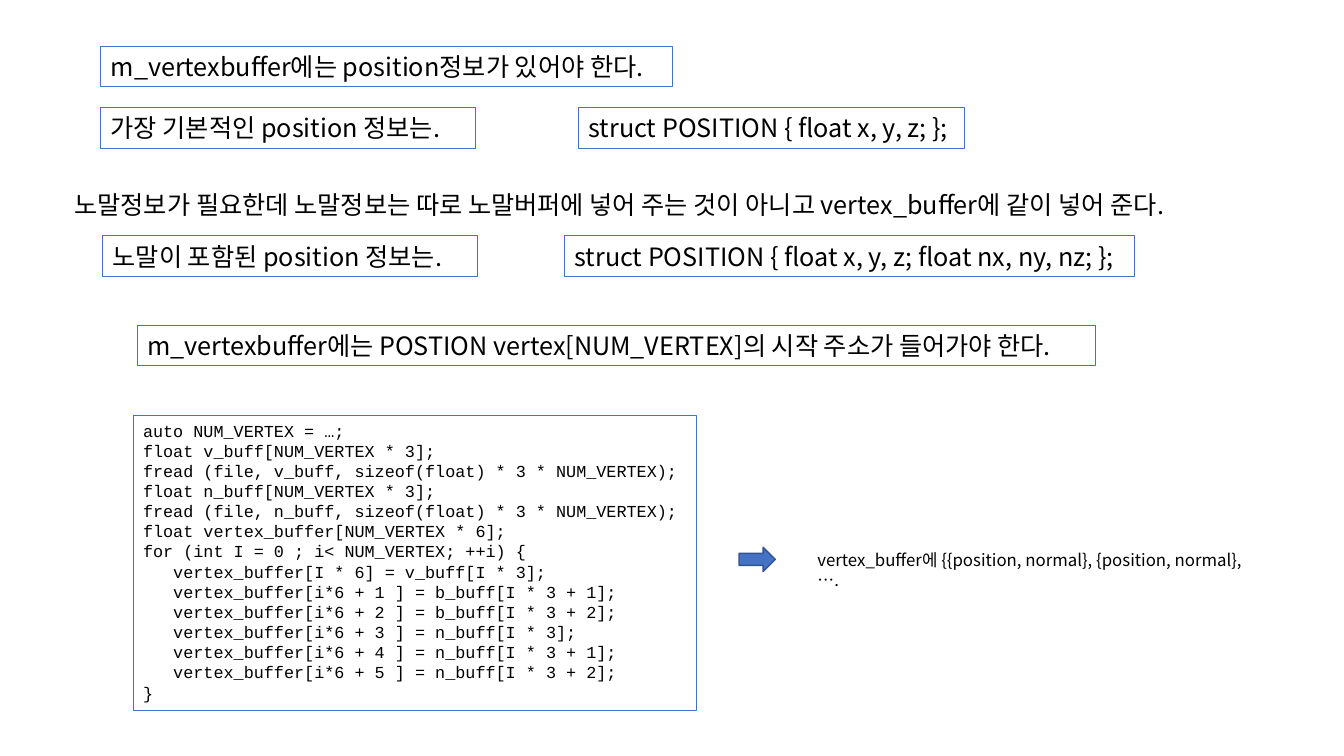
import pptx
import pptx.util
import pptx.dml.color
import pptx.enum.shapes
import pptx.enum.text
import pptx.oxml
import pptx.oxml.ns

COLORS = {"text": "000000", "accent": "4472C4", "arrow_line": "325491"}
BODY, CODE = "Noto Sans CJK KR", "Courier New"
LINE_H = 0.4

# Statements: text, left, top, width, framed
STATEMENTS = [
    ("m_vertexbuffer에는 position정보가 있어야 한다.", 1, 0.46, 5.67, True),
    ("가장 기본적인 position 정보는.", 1, 1.07, 3.72, True),
    ("struct POSITION { float x, y, z; };", 5.74, 1.07, 3.83, True),
    ("노말정보가 필요한데 노말정보는 따로 노말버퍼에 넣어 주는 것이 아니고 "
     "vertex_buffer에 같이 넣어 준다.", 0.64, 1.83, 12.1, False),
    ("노말이 포함된 position 정보는.", 1.02, 2.34, 3.72, True),
    ("struct POSITION { float x, y, z; float nx, ny, nz; };", 5.6, 2.34, 5.65, True),
    ("m_vertexbuffer에는 POSTION vertex[NUM_VERTEX]의 시작 주소가 들어가야 한다.",
     1.36, 3.23, 9.51, True),
]

LISTING = """auto NUM_VERTEX = …;
float v_buff[NUM_VERTEX * 3];
fread (file, v_buff, sizeof(float) * 3 * NUM_VERTEX);
float n_buff[NUM_VERTEX * 3];
fread (file, n_buff, sizeof(float) * 3 * NUM_VERTEX);
float vertex_buffer[NUM_VERTEX * 6];
for (int I = 0 ; i< NUM_VERTEX; ++i) {
   vertex_buffer[I * 6] = v_buff[I * 3];
   vertex_buffer[i*6 + 1 ] = b_buff[I * 3 + 1];
   vertex_buffer[i*6 + 2 ] = b_buff[I * 3 + 2];
   vertex_buffer[i*6 + 3 ] = n_buff[I * 3];
   vertex_buffer[i*6 + 4 ] = n_buff[I * 3 + 1];
   vertex_buffer[i*6 + 5 ] = n_buff[I * 3 + 2];
}"""

RESULT = "vertex_buffer에 {{position, normal}, {position, normal}, …."


def rgb(name):
    """Return the named colour."""
    return pptx.dml.color.RGBColor.from_string(COLORS[name])


def inches(*lengths):
    """Convert lengths in inches to slide units."""
    return [pptx.util.Inches(n) for n in lengths]


def set_line(sp, color, width):
    """Outline a shape."""
    sp.line.color.rgb = rgb(color)
    sp.line.width = pptx.util.Pt(width)


def add_text(slide, text, box, size=18, font=BODY, framed=False, wrap=False):
    """Add a text box with one paragraph per line of text."""
    sp = slide.shapes.add_textbox(*inches(*box))
    if framed:
        set_line(sp, "accent", 0.75)
    tf = sp.text_frame
    tf.word_wrap = wrap
    tf.auto_size = pptx.enum.text.MSO_AUTO_SIZE.SHAPE_TO_FIT_TEXT
    for i, line in enumerate(text.split("\n")):
        p = tf.paragraphs[0] if i == 0 else tf.add_paragraph()
        r = p.add_run()
        r.text = line
        r.font.size = pptx.util.Pt(size)
        r.font.name = font
        r.font.color.rgb = rgb("text")
        ea = pptx.oxml.parse_xml(
            f'<a:ea {pptx.oxml.ns.nsdecls("a")} typeface="{font}"/>')
        r.font._element.append(ea)
    return sp


def add_arrow(slide, box):
    """Add the block arrow from the listing to its result."""
    sp = slide.shapes.add_shape(
        pptx.enum.shapes.MSO_SHAPE.RIGHT_ARROW, *inches(*box))
    sp.shadow.inherit = False
    sp.fill.solid()
    sp.fill.fore_color.rgb = rgb("accent")
    set_line(sp, "arrow_line", 1)


prs = pptx.Presentation()
prs.slide_width, prs.slide_height = inches(13.33, 7.5)
slide = prs.slides.add_slide(prs.slide_layouts[6])

for text, left, top, width, framed in STATEMENTS:
    add_text(slide, text, (left, top, width, LINE_H), framed=framed)
add_text(slide, LISTING, (1.32, 4.12, 5.59, 2.93), size=12, font=CODE, framed=True)
add_arrow(slide, (7.33, 5.43, 0.36, 0.24))
add_text(slide, RESULT, (8.01, 5.4, 4.53, 0.3), size=12, wrap=True)

prs.save("out.pptx")
